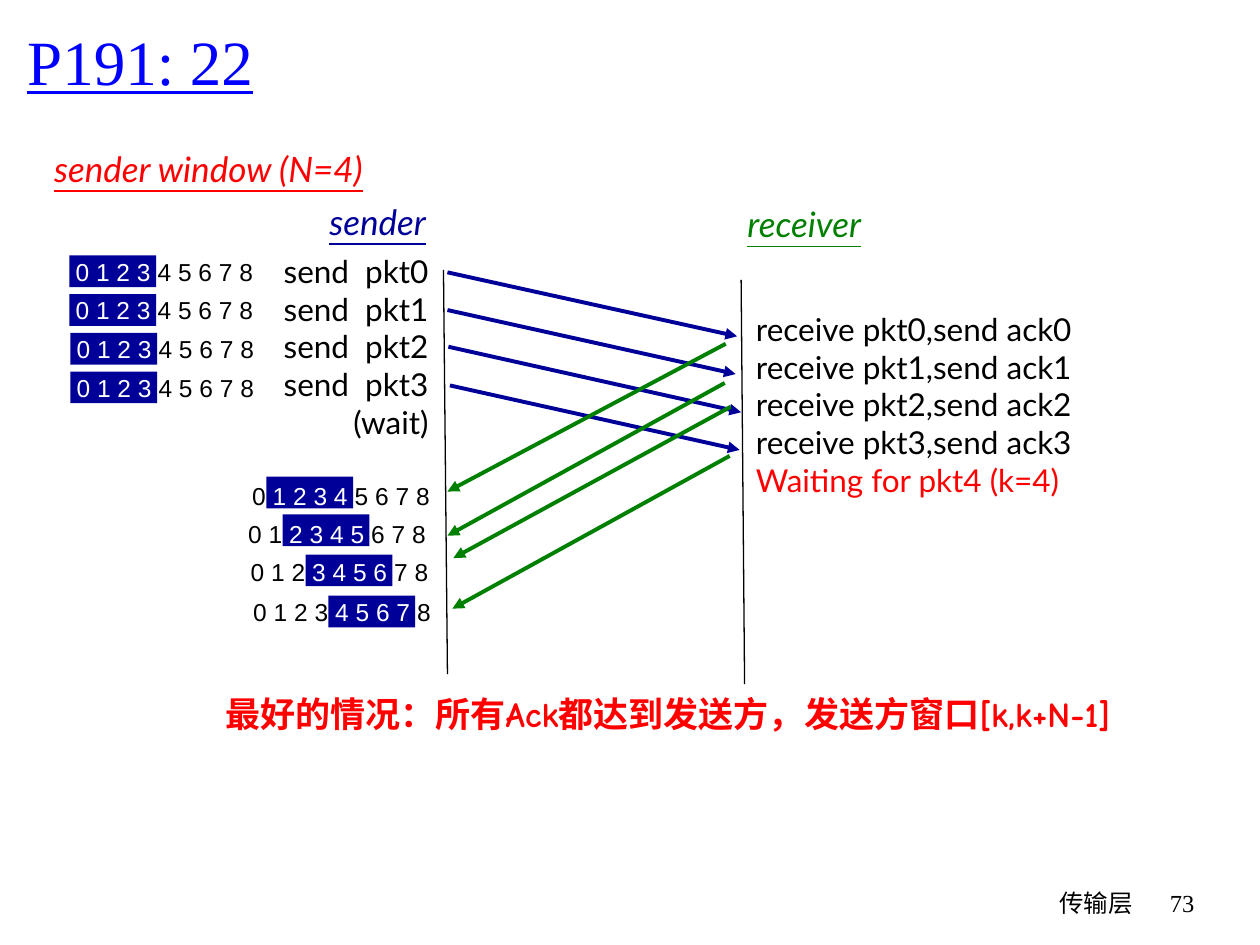
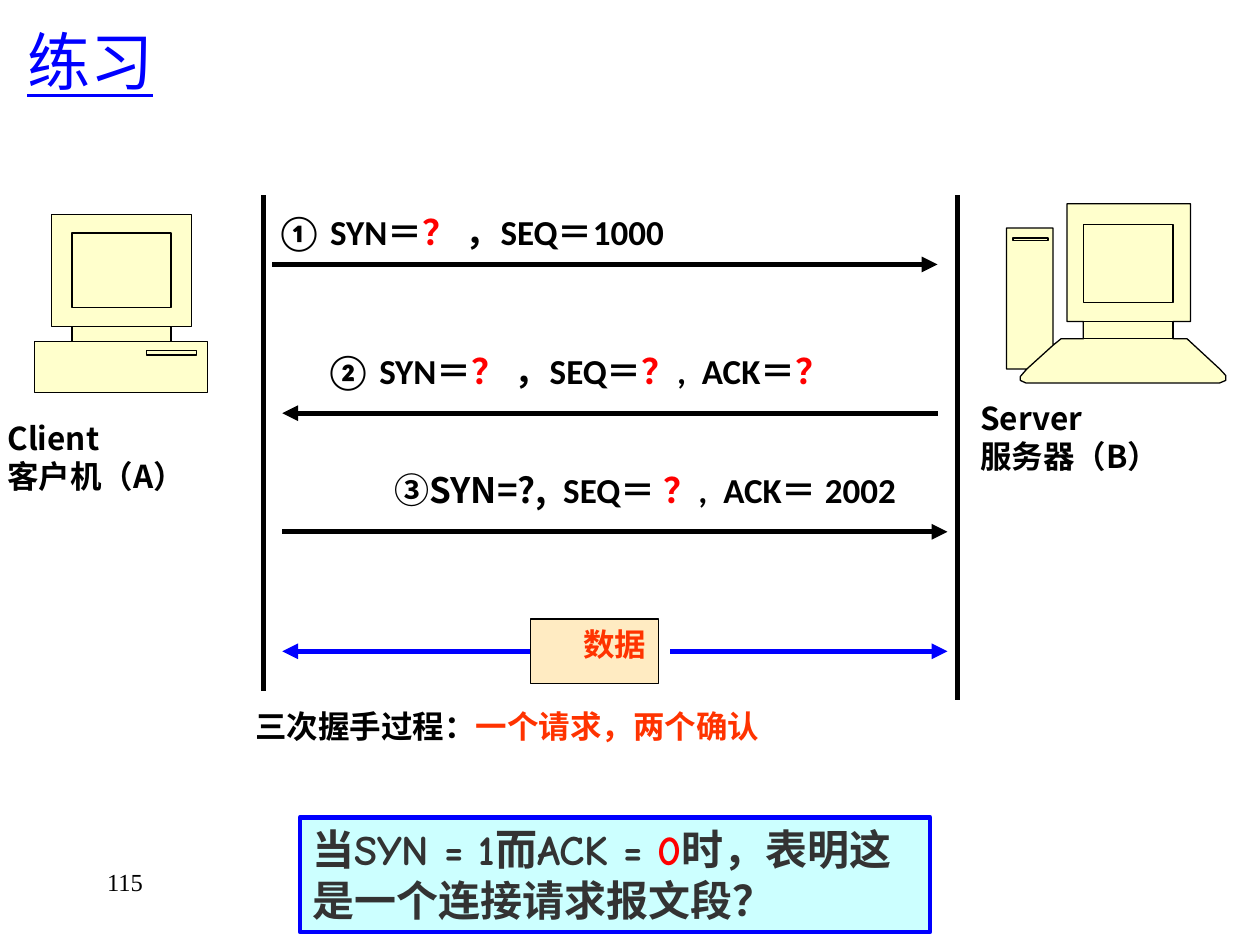
from lxml import etree
from pptx import Presentation
from pptx import util as u
from pptx.dml.color import RGBColor
from pptx.enum import shapes, text
from pptx.oxml.ns import qn

COLORS = {
    "ink": "000000",
    "white": "FFFFFF",
    "navy": "000099",
    "green": "008000",
    "red": "FF0000",
    "blue": "0000FF",
    "orange": "FF3300",
    "charcoal": "333333",
    "machine": "FFFFCC",
    "data": "FFEBC2",
    "quiz": "CCFFFF",
}
SERIF, SANS, COMIC = "Times New Roman", "Lato", "Comic Neue"
CJK, CALIBRI, ARIAL = "Noto Sans CJK SC", "Calibri", "Arial"
LEFT, CENTER, RIGHT = text.PP_ALIGN.LEFT, text.PP_ALIGN.CENTER, text.PP_ALIGN.RIGHT

WINDOW_SIZE = 4
SEQUENCE_END = 9
DIGIT_STEP = 0.41


def rgb(name):
    return RGBColor.from_string(COLORS[name])


def cm(*lengths):
    return [u.Cm(length) for length in lengths]


def write(frame, lines, font, size, color="ink", align=LEFT, wrap=True,
          bold=False, italic=False, underline=False):
    frame.word_wrap = wrap
    for index, line in enumerate(lines):
        paragraph = frame.paragraphs[0] if index == 0 else frame.add_paragraph()
        paragraph.alignment = align
        pieces = [(line,)] if isinstance(line, str) else line
        for words, *style in pieces:
            run = paragraph.add_run()
            run.text = words
            run.font.name = style[1] if len(style) > 1 else font
            run.font.size = u.Pt(size)
            run.font.bold, run.font.italic = bold, italic
            run.font.underline = underline
            run.font.color.rgb = rgb(style[0] if style else color)
            east_asian = etree.SubElement(run.font._element, qn("a:ea"))
            east_asian.set("typeface", CJK)


def label(slide, place, lines, font, size, **style):
    frame = slide.shapes.add_textbox(*cm(*place)).text_frame
    write(frame, lines, font, size, **style)
    return frame


def paint(shape, fill, line=None, width=0.75):
    shape.shadow.inherit = False
    shape.fill.solid()
    shape.fill.fore_color.rgb = rgb(fill)
    if line:
        shape.line.color.rgb = rgb(line)
        shape.line.width = u.Pt(width)
    else:
        shape.line.fill.background()


def rectangle(slide, place, fill, line=None, width=0.75):
    box = slide.shapes.add_shape(shapes.MSO_SHAPE.RECTANGLE, *cm(*place))
    paint(box, fill, line, width)
    return box


def connect(slide, start, end, color, width, arrow=True):
    link = slide.shapes.add_connector(
        shapes.MSO_CONNECTOR.STRAIGHT, *cm(*start, *end))
    link.line.color.rgb = rgb(color)
    link.line.width = u.Pt(width)
    if arrow:
        head = etree.SubElement(link.line._get_or_add_ln(), qn("a:tailEnd"))
        head.set("type", "triangle")
    etree.SubElement(link._element.spPr, qn("a:effectLst"))
    return link


def title(slide, words):
    frame = label(slide, (0.3, 0.18, 23.6, 2.08), [words], SERIF, 36,
                  color="blue", underline=True)
    frame.vertical_anchor = text.MSO_ANCHOR.MIDDLE


def footer(slide, left, top, width, words, align=RIGHT):
    label(slide, (left, top, width, 1.27), [words], SERIF, 14, align=align)


def heading(slide, place, words, color):
    label(slide, place, [words], SANS, 20, color=color, align=CENTER,
          wrap=False, italic=True, underline=True)


def sequence_window(slide, left, top, first, band_drop=0.1):
    band_left = left + 0.18 + DIGIT_STEP * first
    rectangle(slide, (band_left, top + band_drop, 1.75, 0.64), "navy")
    last = first + WINDOW_SIZE
    before = "".join(f"{n} " for n in range(first))
    inside = " ".join(str(n) for n in range(first, last))
    after = "".join(f" {n}" for n in range(last, SEQUENCE_END))
    pieces = [(before, "ink"), (inside, "white"), (after, "ink")]
    label(slide, (left, top, 4.19, 0.84), [[p for p in pieces if p[0]]],
          ARIAL, 14, align=CENTER, wrap=False)


def computer(slide, outline, details):
    start, *rest = [cm(*point) for point in outline]
    builder = slide.shapes.build_freeform(*start)
    builder.add_line_segments(rest, close=True)
    paint(builder.convert_to_shape(), "machine", "ink")
    for place in details:
        rectangle(slide, place, "machine", "ink")


def sliding_window_slide(slide):
    title(slide, "P191: 22")
    heading(slide, (0.51, 2.84, 7.39, 1.12), "sender window (N=4)", "red")
    heading(slide, (6.32, 3.91, 2.59, 1.09), "sender", "navy")
    heading(slide, (14.73, 3.96, 2.97, 1.09), "receiver", "green")

    for row, left in enumerate((1.22, 1.22, 1.24, 1.24)):
        sequence_window(slide, left, 5.05 + 0.78 * row, 0)
    acknowledged = [(4.78, 9.58, 0.03), (4.7, 10.34, 0.03),
                    (4.75, 11.1, 0.08), (4.8, 11.91, 0.1)]
    for first, (left, top, drop) in enumerate(acknowledged, 1):
        sequence_window(slide, left, top, first, drop)

    packets = range(WINDOW_SIZE)
    label(slide, (5.44, 4.95, 3.45, 4.06),
          [f"send  pkt{n}" for n in packets] + ["(wait)"],
          SANS, 18, align=RIGHT, wrap=False)
    label(slide, (14.99, 6.12, 7.14, 4.88),
          [f"receive pkt{n},send ack{n}" for n in packets]
          + [[("Waiting for pkt4 (k=4)", "red")]], SANS, 18)

    connect(slide, (8.94, 5.44), (9.02, 13.59), "ink", 0.75, arrow=False)
    connect(slide, (14.94, 5.64), (15.01, 13.79), "ink", 0.75, arrow=False)
    sent = [((9.02, 5.49), (14.86, 6.78)), ((9.02, 6.25), (14.83, 7.54)),
            ((9.04, 6.99), (14.94, 8.31)), ((9.07, 7.77), (14.91, 9.07))]
    acks = [((14.63, 6.93), (9.02, 9.91)), ((14.61, 7.72), (9.02, 10.8)),
            ((14.73, 8.2), (9.14, 11.25)), ((14.71, 9.19), (9.12, 12.27))]
    for color, messages in (("navy", sent), ("green", acks)):
        for start, end in messages:
            connect(slide, start, end, color, 2.25)

    label(slide, (4.29, 13.84, 19.61, 1.12),
          ["最好的情况：所有Ack都达到发送方，发送方窗口[k,k+N-1]"],
          COMIC, 20, color="red", wrap=False, bold=True)
    footer(slide, 15.04, 17.78, 8.05, "传输层")
    footer(slide, 23.06, 17.78, 1.27, "73")


def handshake_slide(slide):
    title(slide, "练习")
    client_outline = [
        (0.69, 6.88), (1.45, 6.88), (1.45, 6.58), (1.04, 6.58),
        (1.04, 4.32), (3.86, 4.32), (3.86, 6.58), (3.45, 6.58),
        (3.45, 6.88), (4.19, 6.88), (4.19, 7.92), (0.69, 7.92)]
    client_details = [(1.45, 4.7, 2, 1.5), (1.45, 6.58, 2, 0.3),
                      (2.95, 7.06, 1.02, 0.1)]
    server_outline = [
        (21.23, 6.96), (21.39, 6.83), (21.84, 6.83), (21.84, 6.48),
        (21.51, 6.48), (21.51, 4.11), (24, 4.11), (24, 6.48),
        (23.65, 6.48), (23.65, 6.83), (23.93, 6.83), (24.59, 7.44),
        (24.71, 7.57), (24.71, 7.67), (24.59, 7.72), (20.68, 7.72),
        (20.57, 7.67), (20.57, 7.59), (20.7, 7.44), (20.29, 7.44),
        (20.29, 4.6), (21.23, 4.6), (21.23, 6.96), (20.7, 7.44)]
    server_details = [(21.84, 4.52, 1.81, 1.58), (21.84, 6.48, 1.81, 0.35),
                      (20.42, 4.8, 0.71, 0.05)]
    computer(slide, client_outline, client_details)
    computer(slide, server_outline, server_details)
    label(slide, (-0.1, 8.33, 5.49, 2.29), ["Client", "客户机（A）"],
          CJK, 18, bold=True)
    label(slide, (19.51, 7.92, 5.69, 2.29), ["Server", "服务器（B）"],
          CJK, 18, bold=True)

    for x, bottom in ((5.31, 13.92), (19.3, 14.12)):
        connect(slide, (x, 3.94), (x, bottom), "ink", 3, arrow=False)
    for start, end, y in ((5.49, 18.9, 5.33), (18.9, 5.69, 8.33),
                          (5.69, 19.1, 10.72)):
        connect(slide, (start, y), (end, y), "ink", 3)

    unknown = ("？", "red")
    segments = [
        ((5.31, 4.11, 9.4, 1.12),
         [("① SYN＝",), ("？ ", "red"), ("，SEQ＝1000",)]),
        ((6.3, 6.93, 12.4, 1.09),
         [("② SYN＝",), ("？ ", "red"), ("，SEQ＝",), unknown,
          (",  ACK＝",), unknown]),
        ((7.7, 9.32, 12.4, 1.09),
         [("③SYN=?,  ", "ink", CJK), ("SEQ＝ ",), unknown,
          (",  ACK＝ 2002",)]),
    ]
    for place, pieces in segments:
        label(slide, place, [pieces], CALIBRI, 20, bold=True)

    data = rectangle(slide, (10.69, 12.48, 2.59, 1.3), "data", "ink")
    data.text_frame.vertical_anchor = text.MSO_ANCHOR.TOP
    write(data.text_frame, ["数据"], CALIBRI, 18, color="orange",
          align=RIGHT, bold=True)
    to_client = connect(slide, (10.69, 13.13), (5.69, 13.13), "blue", 3)
    to_client.begin_connect(data, 1)
    connect(slide, (13.51, 13.13), (19.1, 13.13), "blue", 3)

    label(slide, (4.9, 14.12, 15.39, 1.27),
          [[("三次握手过程：",), ("一个请求，两个确认", "orange")]],
          CJK, 18, bold=True)
    quiz = rectangle(slide, (6.05, 16.48, 12.7, 2.31), "quiz", "blue", 2.75)
    quiz.text_frame.vertical_anchor = text.MSO_ANCHOR.TOP
    write(quiz.text_frame,
          [[("当SYN = 1而ACK = ",), ("0", "red"),
            ("时，表明这是一个连接请求报文段？",)]],
          COMIC, 24, color="charcoal", bold=True)
    footer(slide, 1.91, 17.35, 5.28, "115", align=LEFT)


def main():
    deck = Presentation()
    deck.slide_width, deck.slide_height = cm(25.4, 19.05)
    for build in (sliding_window_slide, handshake_slide):
        build(deck.slides.add_slide(deck.slide_layouts[6]))
    deck.save("out.pptx")


if __name__ == "__main__":
    main()
